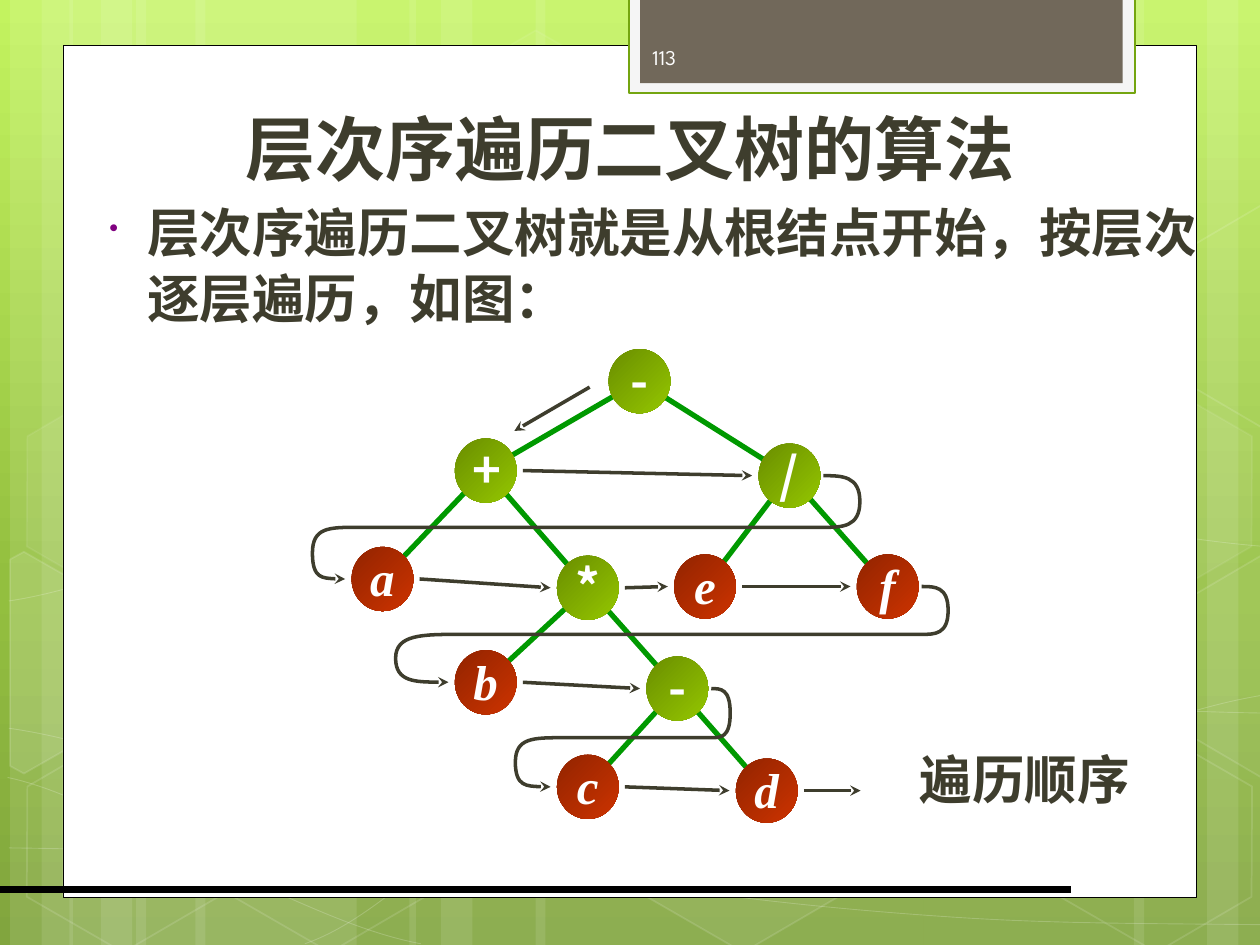
from copy import deepcopy
from dataclasses import dataclass
from itertools import pairwise
from math import dist

from lxml.etree import SubElement
from pptx import Presentation
from pptx.dml.color import RGBColor
from pptx.enum.shapes import MSO_CONNECTOR, MSO_SHAPE
from pptx.enum.text import MSO_ANCHOR, MSO_AUTO_SIZE, PP_ALIGN
from pptx.oxml.ns import qn
from pptx.util import Inches, Pt

WHITE, BLACK, INK, GREEN = "FFFFFF", "000000", "3E3D2D", "009900"
SERIF, SANS, HAN = "Times New Roman", "League Spartan", "Noto Sans CJK SC"
SKY = ((0, "C3F35F"), (0.62, "93BF3F"), (1, "81A53E"))
INNER = ((0, "6A8E00"), (1, "94C600"))
LEAF = ((0, "922400"), (1, "CC3300"))
WIDE, HIGH = 0.49, 0.51  # size of a tree disc
GAP = 0.05  # space between a disc and an arrow

deck = Presentation()
deck.slide_width, deck.slide_height = Inches(10), Inches(7.5)
CELL = deck.slide_width // 10  # a grid of 10 columns by 7.5 rows
slide = deck.slides.add_slide(deck.slide_layouts[6])
shapes = slide.shapes

Point = tuple[float, float]


@dataclass
class Node:
    """A tree node, placed by the left top corner of its disc."""
    label: str
    x: float
    y: float
    kids: tuple["Node", ...] = ()

    @property
    def mid(self) -> Point:
        return self.x + WIDE / 2, self.y + HIGH / 2

    @property
    def right(self) -> float:
        return self.x + WIDE


@dataclass
class Wave:
    """A faint line through heights at equal steps from left to right."""
    left: float
    right: float
    rows: tuple[float, ...]


@dataclass
class Pane:
    """A hexagon at a place in the honeycomb; opacities in percent."""
    col: int
    row: int
    fill: int
    edge: int = 12


@dataclass
class Shard:
    """A hexagon cut off by the slide's side."""
    wall: float
    tip: float
    cut: float
    mid: float
    fill: int


def grid(*cells: float) -> list[int]:
    return [round(c * CELL) for c in cells]


def paint(fill, tone: str, alpha: int = 100) -> None:
    fill.solid()
    fill.fore_color.rgb = RGBColor.from_string(tone)
    if alpha < 100:
        node = fill._xPr.find(qn("a:solidFill"))[0]
        SubElement(node, qn("a:alpha"), val=str(alpha * 1000))


def blend(fill, root, stops, angle: int) -> None:
    """Fill with a gradient whose angle runs clockwise."""
    fill.gradient()
    fill.gradient_angle = 360 - angle
    marks = root.xpath(".//a:gsLst")[0]
    while len(marks) < len(stops):
        marks.append(deepcopy(marks[-1]))
    for stop, (place, tone) in zip(fill.gradient_stops, stops):
        stop.position = place
        stop.color.rgb = RGBColor.from_string(tone)


def stroke(line, tone: str, width: float, alpha: int = 100, arrow: bool = False) -> None:
    line.width = Pt(width)
    paint(line.fill, tone, alpha)
    if arrow:
        SubElement(line._get_or_add_ln(), qn("a:tailEnd"), type="stealth")


def block(kind, box, tone: str = WHITE, alpha: int = 100):
    """Add a preset shape with no edge; alpha 0 leaves it empty."""
    shape = shapes.add_shape(kind, *grid(*box))
    shape.shadow.inherit = False
    shape.line.fill.background()
    if alpha:
        paint(shape.fill, tone, alpha)
    else:
        shape.fill.background()
    return shape


def link(start: Point, end: Point, tone: str, width: float, arrow: bool = False) -> None:
    line = shapes.add_connector(MSO_CONNECTOR.STRAIGHT, *grid(*start, *end))
    stroke(line.line, tone, width, arrow=arrow)
    SubElement(line.element.spPr, qn("a:effectLst"))


def trace(points: list[Point], close: bool = False):
    first, *rest = [grid(*p) for p in points]
    pen = shapes.build_freeform(*first)
    pen.add_line_segments(rest, close=close)
    shape = pen.convert_to_shape()
    shape.shadow.inherit = False
    shape.fill.background()
    return shape


def curve(points: list[Point]):
    """Trace a start point followed by Bezier triples."""
    shape = trace(points)
    route = shape.element.xpath(".//a:path")[0]
    steps = route.xpath("a:lnTo")
    for i in range(0, len(steps), 3):
        bend = SubElement(route, qn("a:cubicBezTo"))
        for step in steps[i:i + 3]:
            bend.append(step[0])
            route.remove(step)
    return shape


def share(a: Point, b: Point, part: float) -> Point:
    """The point that lies a part of the way from a to b."""
    return a[0] + (b[0] - a[0]) * part, a[1] + (b[1] - a[1]) * part


def ripple(wave: Wave) -> None:
    """Join the wave's heights smoothly, each slope set by both neighbours."""
    rows, last = wave.rows, len(wave.rows) - 1
    step = (wave.right - wave.left) / last
    knots = [(wave.left + i * step, y) for i, y in enumerate(rows)]
    rises = [(rows[min(i + 1, last)] - rows[max(i - 1, 0)]) / 6 for i in range(last + 1)]
    points = knots[:1]
    for i, ((x, y), (nx, ny)) in enumerate(pairwise(knots)):
        points += [(x + step / 3, y + rises[i]), (nx - step / 3, ny - rises[i + 1]), (nx, ny)]
    stroke(curve(points).line, WHITE, 0.5, 20)


def tile(pane: Pane) -> None:
    box = 0.1 + 0.82 * pane.col, 0.36 + 1.39 * pane.row, 1.75, 1.52
    shape = block(MSO_SHAPE.HEXAGON, box, alpha=pane.fill)
    shape.adjustments[0], shape.rotation = 0.285, 30
    stroke(shape.line, WHITE, 1, pane.edge)


def chip(shard: Shard) -> None:
    half = [(shard.wall, 0.44), (shard.tip, 0.88), (shard.cut, 0.82)]
    upper = [(x, shard.mid - rise) for x, rise in half]
    lower = [(x, shard.mid + rise) for x, rise in reversed(half)]
    shape = trace(upper + lower, close=True)
    if shard.fill:
        paint(shape.fill, WHITE, shard.fill)
    stroke(shape.line, WHITE, 1, 12)


def write(text: str, box, size: int, face: str, tone: str = INK, bold: bool = True,
          slant: bool = False, wrap: bool = True, grow: bool = False,
          anchor=MSO_ANCHOR.TOP, align=PP_ALIGN.LEFT):
    frame = shapes.add_textbox(*grid(*box)).text_frame
    frame.word_wrap, frame.vertical_anchor = wrap, anchor
    frame.auto_size = MSO_AUTO_SIZE.SHAPE_TO_FIT_TEXT if grow else MSO_AUTO_SIZE.NONE
    para = frame.paragraphs[0]
    para.alignment = align
    run = para.add_run()
    run.text = text
    font = run.font
    font.size, font.name, font.bold, font.italic = Pt(size), face, bold, slant
    paint(font.fill, tone)
    SubElement(run._r.rPr, qn("a:ea"), typeface=HAN)
    return para


def bullet(para) -> None:
    props = para._p.get_or_add_pPr()
    props.set("marL", str(Inches(0.38)))
    props.set("indent", str(Inches(-0.3)))
    tint = SubElement(props, qn("a:buClr"))
    SubElement(tint, qn("a:srgbClr"), val="800080")
    SubElement(props, qn("a:buSzPct"), val="50000")
    SubElement(props, qn("a:buChar"), char="•")


def branch(top: Node, kid: Node) -> None:
    """Draw a tree edge between the rims of two discs."""
    trim = 0.2 / dist(top.mid, kid.mid)
    link(share(top.mid, kid.mid, trim), share(top.mid, kid.mid, 1 - trim), GREEN, 3)


def disc(node: Node) -> None:
    shape = block(MSO_SHAPE.OVAL, (node.x, node.y, WIDE, HIGH))
    blend(shape.fill, shape.element, INNER if node.kids else LEAF, 45)


def name(node: Node) -> None:
    leaf = not node.kids
    write(node.label, (node.mid[0] - 0.2, node.y - 0.04, 0.4, 0.57), 28, SERIF if leaf else HAN,
          WHITE, slant=leaf, wrap=False, grow=True, align=PP_ALIGN.CENTER)


def hop(a: Node, b: Node) -> None:
    """Point from a node to its neighbour on the same level."""
    link((a.right + GAP, a.mid[1]), (b.x - GAP, b.mid[1]), INK, 2, arrow=True)


def turn(a: Node, b: Node, out: float, back: float) -> None:
    """Sweep from a level's last node round to the next level's first."""
    x, y = a.right + GAP / 2, a.mid[1]
    end, low = b.x - GAP, b.mid[1]
    bar, far, near = (y + low) / 2, x + out, end - back
    head, foot = (x, bar), (end + 0.1, bar)
    points = [(x, y), (x + out / 2, y), (far, y), (far, (y + bar) / 2),
              (far, bar), (x + out / 2, bar), head,
              share(head, foot, 1 / 3), share(head, foot, 2 / 3), foot,
              (end - back / 2, bar), (near, bar), (near, (bar + low) / 2),
              (near, low), (end - back / 2, low), (end, low)]
    stroke(curve(points).line, INK, 2, arrow=True)


BANDS = {1.75: (1.08, 1.55, 7.33), 0.5: (0.08, 0.55, 3.25, 9.58),
         0.83: (0.33, 0.8, 3.5, 9), 3.08: (4.25,)}  # width: left sides
WAVES = [Wave(0.07, 10.07, (6.73, 6.77, 6.61, 6.25, 5.51)),
         Wave(0.07, 10.07, (4.77, 4.02, 3.81, 3.98, 4.34)),
         Wave(0.06, 3.34, (6.17, 6.87, 7.49)),
         Wave(0.07, 10.07, (5.78, 6.49, 7.01, 7.28, 7.34)),
         Wave(2.42, 10.06, (7.49, 6.2, 5.75, 5.62, 5.66))]
PANES = [Pane(4, 0, 4, 8), Pane(6, 4, 6), Pane(0, 4, 0), Pane(0, 2, 7, 8),
         Pane(2, 4, 0), Pane(9, 3, 10), Pane(10, 4, 0), Pane(10, 2, 7, 8)]
SHARDS = [Shard(0.96, 0.19, 0.08, 5.26, 10), Shard(9.26, 10.01, 10.09, 5.29, 4),
          Shard(9.26, 10.01, 10.09, 2.51, 0)]

minus = Node("-", 5.13, 5.21, (Node("c", 4.42, 5.99), Node("d", 5.84, 6.02)))
times = Node("*", 4.42, 4.41, (Node("b", 3.61, 5.16), minus))
plus = Node("+", 3.61, 3.48, (Node("a", 2.79, 4.34), times))
over = Node("/", 6.02, 3.52, (Node("e", 5.35, 4.4), Node("f", 6.8, 4.4)))
root = Node("-", 4.83, 2.77, (plus, over))
levels = [[root]]
while below := [kid for node in levels[-1] for kid in node.kids]:
    levels.append(below)
nodes = [node for level in levels for node in level]
BULGES = [(0.29, 0.26), (0.21, 0.42), (0.15, 0.28)]  # each turn's reach, right and left

blend(slide.background.fill, slide.element, SKY, 90)
for wide, lefts in BANDS.items():
    for left in lefts:
        block(MSO_SHAPE.RECTANGLE, (left, 0, wide, 7.5), alpha=10)
for draw, items in ((ripple, WAVES), (tile, PANES), (chip, SHARDS)):
    for item in items:
        draw(item)

stroke(block(MSO_SHAPE.RECTANGLE, (0.5, 0.36, 9, 6.76)).line, BLACK, 0.5)
stroke(block(MSO_SHAPE.RECTANGLE, (4.99, -0.02, 4.02, 0.76), "F5F5F5").line, "74A510", 1.25)
block(MSO_SHAPE.RECTANGLE, (5.08, -0.02, 3.83, 0.68), "71685A")
link((0, 7.06), (8.5, 7.06), BLACK, 4.5)

write("层次序遍历二叉树的算法", (0.5, 0.5, 9, 1.05), 40, SANS,
      anchor=MSO_ANCHOR.BOTTOM, align=PP_ALIGN.CENTER)
body = write("层次序遍历二叉树就是从根结点开始，按层次逐层遍历，如图：", (0.69, 1.51, 9, 4.25), 30, SERIF)
body.line_spacing = 1.05
bullet(body)
write("113", (5.08, 0.25, 1.46, 0.4), 12, SANS, "FEFEFE", bold=False, anchor=MSO_ANCHOR.MIDDLE)
write("遍历顺序", (7.2, 5.88, 2.25, 0.6), 30, SERIF, grow=True)

for node in nodes:
    for kid in node.kids:
        branch(node, kid)
for draw in (disc, name):
    for node in nodes:
        draw(node)

first, last = [share(root.mid, plus.mid, part) for part in (0.25, 0.74)]
link((first[0] - 0.09, first[1] - 0.13), (last[0] - 0.09, last[1] - 0.13), INK, 2, arrow=True)
for level in levels:
    for a, b in pairwise(level):
        hop(a, b)
for (above, below), (out, back) in zip(pairwise(levels[1:]), BULGES):
    turn(above[-1], below[0], out, back)
final = nodes[-1]
link((final.right + GAP, final.mid[1]), (final.right + 0.5, final.mid[1]), INK, 2, arrow=True)

deck.save("out.pptx")
